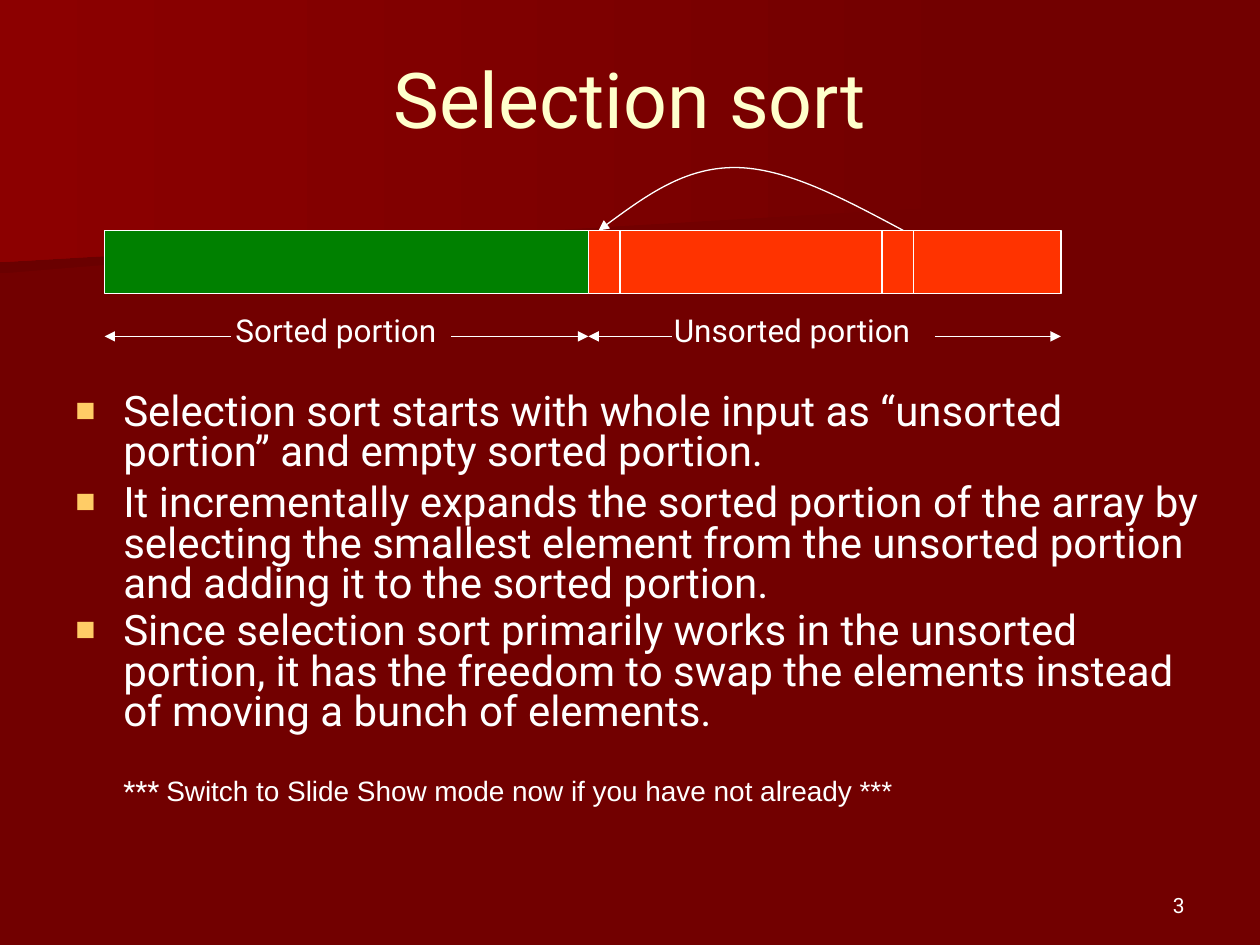
from dataclasses import dataclass

from lxml import etree
from pptx import Presentation
from pptx.dml.color import RGBColor
from pptx.enum import shapes, text
from pptx.oxml.ns import qn
from pptx.util import Inches, Pt


@dataclass(frozen=True)
class Theme:
    back: str = "720000"
    dark: str = "6A0000"
    glow: str = "8C0000"
    cream: str = "FFFFCC"
    white: str = "FFFFFF"
    gold: str = "FFCC66"
    green: str = "008000"
    red: str = "FF3300"
    font: str = "Roboto"
    plain: str = "Arial"
    title: int = 44
    body: int = 24
    label: int = 18
    note: int = 16
    small: int = 12
    line: float = 0.75


T = Theme()
LEFT, SPLIT, RIGHT = 0.83, 4.67, 8.42
TOP, HIGH, CELL = 1.83, 0.5, 0.25
ROW = 2.67
POINTS = [
    "Selection sort starts with whole input as “unsorted portion” "
    "and empty sorted portion.",
    "It incrementally expands the sorted portion of the array by selecting "
    "the smallest element from the unsorted portion and adding it to the "
    "sorted portion.",
    "Since selection sort primarily works in the unsorted portion, it has "
    "the freedom to swap the elements instead of moving a bunch of elements.",
]


def rgb(code):
    return RGBColor.from_string(code)


def add_run(para, words, size, color=T.white, font=T.font):
    run = para.add_run()
    run.text = words
    run.font.size = Pt(size)
    run.font.name = font
    run.font.color.rgb = rgb(color)


def add_box(slide, x, y, w, h, anchor=text.MSO_ANCHOR.TOP, wrap=True):
    frame = slide.shapes.add_textbox(
        Inches(x), Inches(y), Inches(w), Inches(h)).text_frame
    frame.word_wrap = wrap
    frame.vertical_anchor = anchor
    return frame


def add_line(slide, words, box, size, color=T.white, align=None, **opts):
    para = add_box(slide, *box, **opts).paragraphs[0]
    para.alignment = align
    add_run(para, words, size, color)


def set_stroke(line):
    line.color.rgb = rgb(T.white)
    line.width = Pt(T.line)


def add_head(shape):
    line = shape.line._get_or_add_ln()
    etree.SubElement(line, qn("a:tailEnd"), type="triangle")


def add_bar(slide, x, w, color):
    bar = slide.shapes.add_shape(
        shapes.MSO_SHAPE.RECTANGLE,
        Inches(x), Inches(TOP), Inches(w), Inches(HIGH))
    bar.shadow.inherit = False
    bar.fill.solid()
    bar.fill.fore_color.rgb = rgb(color)
    set_stroke(bar.line)


def add_arrow(slide, start, end, y=ROW):
    arrow = slide.shapes.add_connector(
        shapes.MSO_CONNECTOR.STRAIGHT,
        Inches(start), Inches(y), Inches(end), Inches(y))
    set_stroke(arrow.line)
    add_head(arrow)
    etree.SubElement(arrow._element.spPr, qn("a:effectLst"))


def add_free(slide, points, close):
    spots = [(Inches(x), Inches(y)) for x, y in points]
    build = slide.shapes.build_freeform(*spots[0])
    build.add_line_segments(spots[1:], close=close)
    shape = build.convert_to_shape()
    shape.shadow.inherit = False
    return shape


def add_glow(slide, points, color):
    shape = add_free(slide, points, close=True)
    shape.line.fill.background()
    shape.fill.gradient()
    shape.fill.gradient_angle = 180
    for stop, code in zip(shape.fill.gradient_stops, (T.back, color)):
        stop.color.rgb = rgb(code)


def add_curve(slide, points):
    """Turn each three points after the first into one Bezier segment."""
    curve = add_free(slide, points, close=False)
    curve.fill.background()
    set_stroke(curve.line)
    add_head(curve)
    path = next(curve._element.iter(qn("a:path")))
    legs = path.findall(qn("a:lnTo"))
    for i in range(0, len(legs), 3):
        bend = etree.SubElement(path, qn("a:cubicBezTo"))
        for leg in legs[i:i + 3]:
            bend.append(leg[0])
            path.remove(leg)


def add_bullet(para):
    props = para._p.get_or_add_pPr()
    props.set("marL", str(Inches(0.38)))
    props.set("indent", str(-Inches(0.38)))
    color = etree.SubElement(props, qn("a:buClr"))
    etree.SubElement(color, qn("a:srgbClr"), val=T.gold)
    etree.SubElement(props, qn("a:buSzPct"), val="80000")
    etree.SubElement(props, qn("a:buFont"), typeface=T.plain)
    etree.SubElement(props, qn("a:buChar"), char="■")


def add_body(slide):
    frame = add_box(slide, 0.5, 3.08, 9.25, 3.58)
    for i, (words, gap) in enumerate(zip(POINTS, (0, 6, 4))):
        para = frame.add_paragraph() if i else frame.paragraphs[0]
        add_bullet(para)
        para.line_spacing = 0.8
        para.space_before = Pt(gap)
        add_run(para, words, T.body)

    # Closing note, level with the bullet text
    note = frame.add_paragraph()
    props = note._p.get_or_add_pPr()
    props.set("marL", str(Inches(0.38)))
    props.set("indent", "0")
    note.line_spacing = 0.8
    note.space_before = Pt(26)
    add_run(note, "*** ", T.note)
    add_run(note, "Switch to Slide Show mode now if you have not already ***",
            T.note, font=T.plain)


def main():
    deck = Presentation()
    deck.slide_width, deck.slide_height = Inches(10), Inches(7.5)
    slide = deck.slides.add_slide(deck.slide_layouts[6])

    # Background with two soft bands
    slide.background.fill.solid()
    slide.background.fill.fore_color.rgb = rgb(T.back)
    add_glow(slide, [(7.78, 1.53), (0, 2.17), (0, 1.01), (7.79, 1.01),
                     (7.78, 1.28)], T.dark)
    add_glow(slide, [(7.92, 1.62), (0, 2.08), (0, 0), (7.92, 0)], T.glow)

    # Title and points
    add_line(slide, "Selection sort", (0.5, 0.3, 9, 0.95), T.title, T.cream,
             text.PP_ALIGN.CENTER, anchor=text.MSO_ANCHOR.MIDDLE)
    add_body(slide)

    # Array with the two cells that swap
    add_bar(slide, LEFT, SPLIT - LEFT, T.green)
    add_bar(slide, SPLIT, RIGHT - SPLIT, T.red)
    add_curve(slide, [(7.17, TOP), (6.7, 1.58), (6.24, 1.33), (5.83, 1.33),
                      (5.43, 1.33), (5.09, 1.58), (4.75, TOP)])
    for x in (7, SPLIT):
        add_bar(slide, x, CELL, T.red)

    # Labels and their spans
    add_line(slide, "Sorted portion", (1.77, 2.42, 1.91, 0.4), T.label,
             wrap=False)
    add_line(slide, "Unsorted portion", (5.25, 2.42, 2.23, 0.4), T.label,
             wrap=False)
    for start, end in ((3.58, SPLIT), (7.42, RIGHT),
                       (1.83, LEFT), (5.33, SPLIT)):
        add_arrow(slide, start, end)

    # Page number
    add_line(slide, "3", (7.17, 6.83, 2.33, 0.5), T.small,
             align=text.PP_ALIGN.RIGHT, anchor=text.MSO_ANCHOR.BOTTOM)

    deck.save("out.pptx")


if __name__ == "__main__":
    main()
